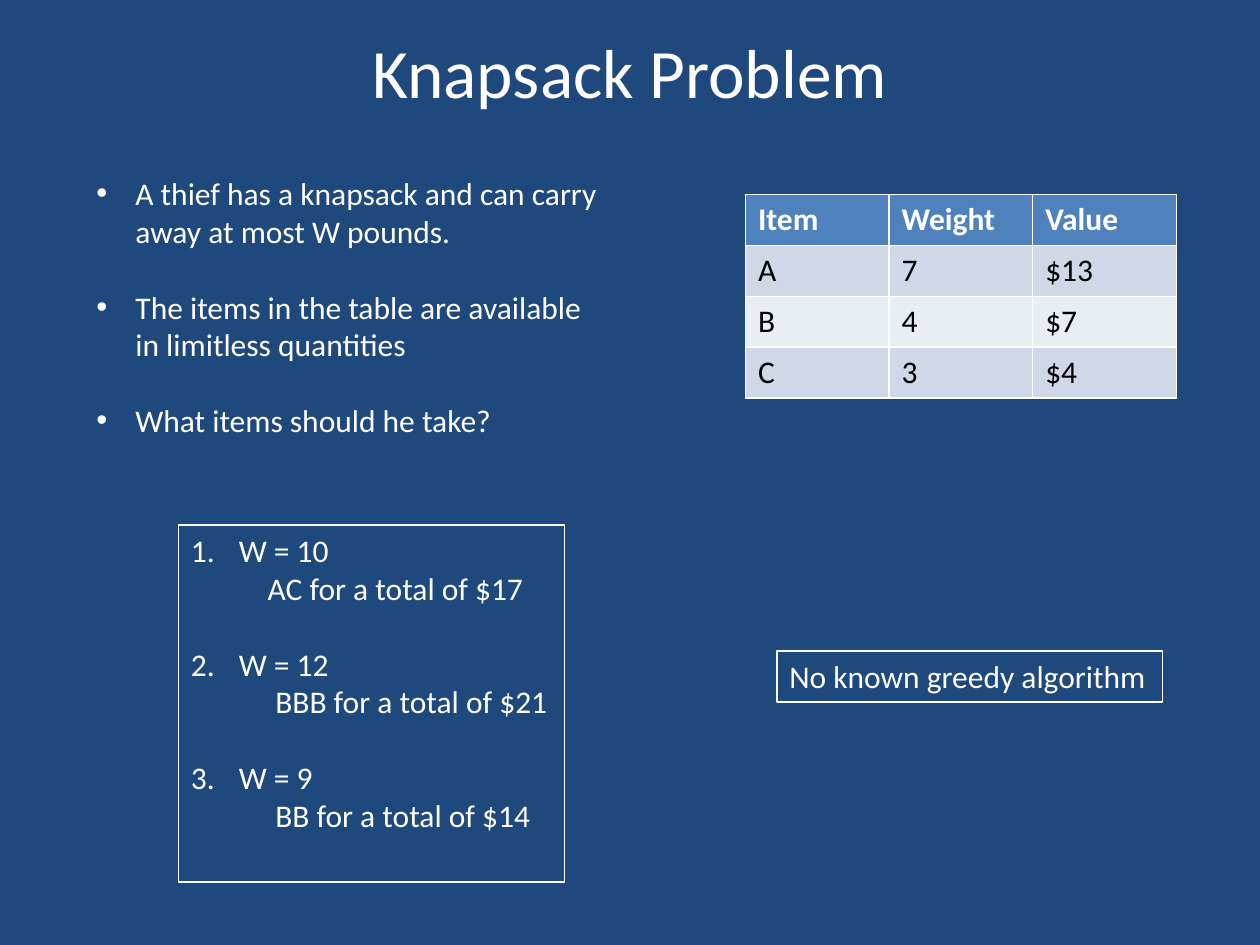
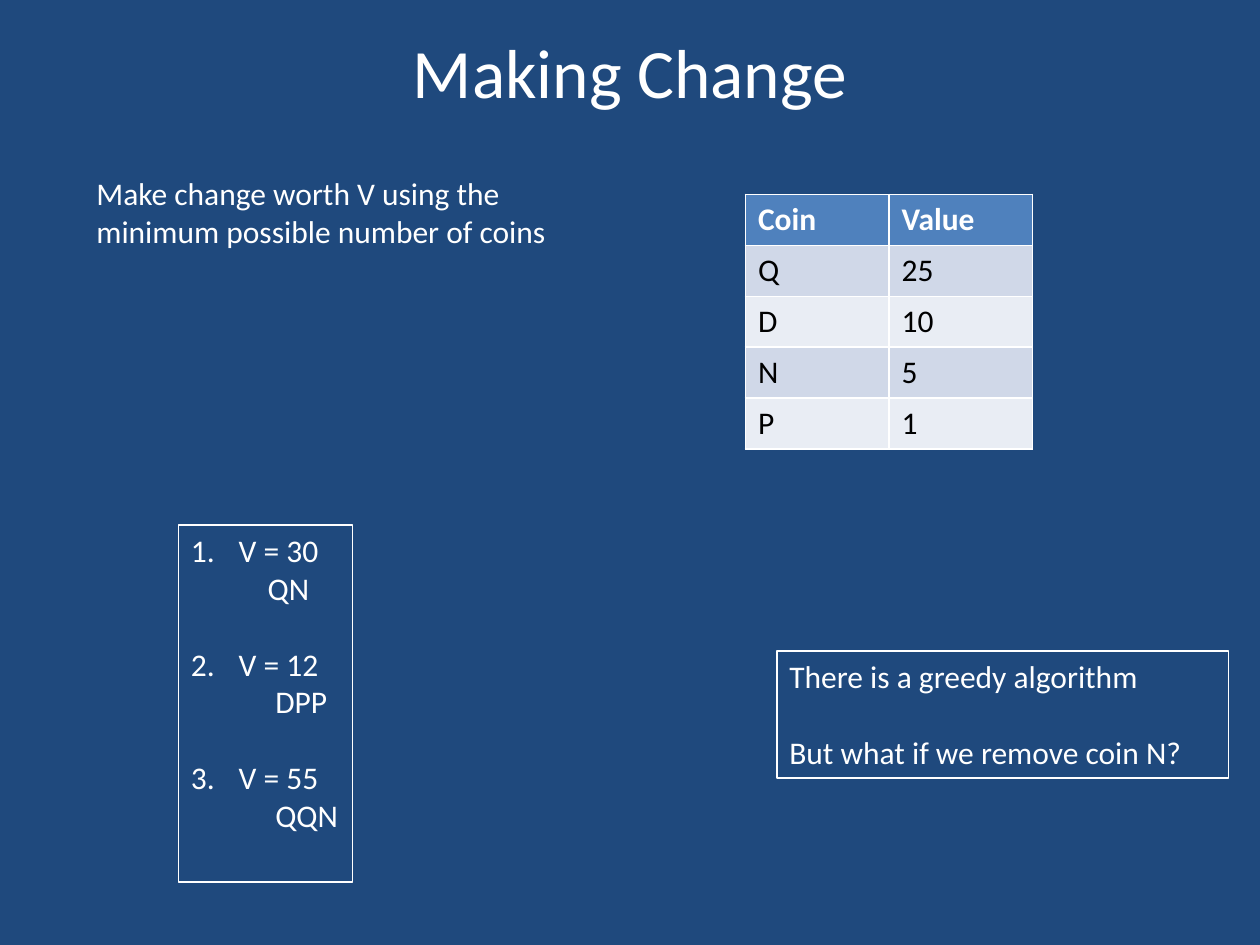
from lxml.etree import SubElement
from pptx import Presentation
from pptx.dml.color import RGBColor
from pptx.enum.shapes import MSO_SHAPE
from pptx.enum.text import MSO_ANCHOR, PP_ALIGN
from pptx.oxml.ns import qn
from pptx.util import Inches, Pt

NAVY = RGBColor(0x1F, 0x49, 0x7D)
WHITE = RGBColor(0xFF, 0xFF, 0xFF)
BLACK = RGBColor(0x00, 0x00, 0x00)
HEADER_BLUE = RGBColor(0x4F, 0x81, 0xBD)
BANDS = (RGBColor(0xD0, 0xD8, 0xE8), RGBColor(0xE9, 0xED, 0xF4))

FONT = "Calibri"
TITLE_SIZE, TEXT_SIZE = 39.6, 18
BLANK_LINE = Pt(21.6)
COLUMNS, ROWS = 120, 90  # grid cells across and down the slide


class Deck:
    """Holds the shared style and the slide being built."""

    def __init__(self):
        self.prs = Presentation()
        self.prs.slide_width, self.prs.slide_height = Inches(10), Inches(7.5)
        self.slide = None

    def x(self, columns):
        return round(self.prs.slide_width * columns / COLUMNS)

    def y(self, rows):
        return round(self.prs.slide_height * rows / ROWS)

    def area(self, column, row, width, height):
        return self.x(column), self.y(row), self.x(width), self.y(height)

    def styled_run(self, paragraph, text, size=TEXT_SIZE, color=WHITE, bold=False):
        run = paragraph.add_run()
        run.text = text
        run.font.name, run.font.size = FONT, Pt(size)
        run.font.color.rgb, run.font.bold = color, bold

    def paragraph(self, frame, text, gap=False):
        """Add a left-aligned paragraph, with a blank line's gap if asked."""
        first = frame.paragraphs[0]
        paragraph = frame.add_paragraph() if first.runs else first
        paragraph.alignment = PP_ALIGN.LEFT
        if gap:
            paragraph.space_before = BLANK_LINE
        self.styled_run(paragraph, text)
        return paragraph

    def indent(self, paragraph, left, hanging=0, marker=None, **attributes):
        properties = paragraph._p.get_or_add_pPr()
        properties.set("marL", str(Inches(left)))
        properties.set("indent", str(-Inches(hanging)))
        if marker:
            font = SubElement(properties, qn("a:buFont"))
            font.set("typeface", "Arial" if marker == "a:buChar" else "+mj-lt")
            bullet = SubElement(properties, qn(marker))
            for name, value in attributes.items():
                bullet.set(name, value)

    def text_area(self, *place):
        frame = self.slide.shapes.add_textbox(*self.area(*place)).text_frame
        frame.word_wrap = True
        return frame

    def outlined_box(self, *place):
        box = self.slide.shapes.add_shape(MSO_SHAPE.RECTANGLE, *self.area(*place))
        box.shadow.inherit = False
        box.fill.background()
        box.line.color.rgb, box.line.width = WHITE, Pt(0.75)
        frame = box.text_frame
        frame.word_wrap = True
        frame.vertical_anchor = MSO_ANCHOR.TOP
        frame.margin_right = 0
        return frame

    def new_slide(self, title):
        self.slide = self.prs.slides.add_slide(self.prs.slide_layouts[6])
        background = self.slide.background.fill
        background.solid()
        background.fore_color.rgb = NAVY
        frame = self.text_area(6, 2, 108, 9.4)
        frame.vertical_anchor = MSO_ANCHOR.MIDDLE
        heading = frame.paragraphs[0]
        heading.alignment = PP_ALIGN.CENTER
        self.styled_run(heading, title, TITLE_SIZE)

    def statement(self, points, height, bulleted=False):
        frame = self.text_area(8, 16, 51, height)
        for number, point in enumerate(points):
            paragraph = self.paragraph(frame, point, gap=number > 0)
            if bulleted:
                self.indent(paragraph, 0.31, 0.31, "a:buChar", char="•")

    def price_table(self, records):
        count, fields = len(records), len(records[0])
        place = self.area(71, 18.5, 13.68 * fields, 4.86 * count)
        table = self.slide.shapes.add_table(count, fields, *place).table
        for r, record in enumerate(records):
            for c, value in enumerate(record):
                cell = table.cell(r, c)
                header = r == 0
                cell.fill.solid()
                cell.fill.fore_color.rgb = HEADER_BLUE if header else BANDS[(r - 1) % 2]
                self.styled_run(cell.text_frame.paragraphs[0], value,
                                color=WHITE if header else BLACK, bold=header)

    def cases(self, pairs, width):
        """Numbered questions, each with its answer indented below."""
        frame = self.outlined_box(17, 50, width, 34)
        for number, (question, answer) in enumerate(pairs):
            asked = self.paragraph(frame, question, gap=number > 0)
            self.indent(asked, 0.38, 0.38, "a:buAutoNum", type="arabicPeriod")
            solved = self.paragraph(frame, answer)
            solved.level = 1
            self.indent(solved, 0.67 if number else 0.61)

    def remark(self, lines, width, height):
        frame = self.outlined_box(74, 62, width, height)
        for number, line in enumerate(lines):
            self.paragraph(frame, line, gap=number > 0)


def main():
    deck = Deck()

    # Knapsack: limitless items, limited weight
    deck.new_slide("Knapsack Problem")
    deck.price_table([("Item", "Weight", "Value"),
                      ("A", "7", "$13"), ("B", "4", "$7"), ("C", "3", "$4")])
    deck.statement(["A thief has a knapsack and can carry away at most W pounds.",
                    "The items in the table are available in limitless quantities",
                    "What items should he take?"], 26.7, bulleted=True)
    deck.cases([("W = 10", "AC for a total of $17"),
                ("W = 12", "BBB for a total of $21"),
                ("W = 9", "BB for a total of $14")], 36.75)
    deck.remark(["No known greedy algorithm"], 36.75, 4.85)

    # Making change: fewest coins
    deck.new_slide("Making Change")
    deck.price_table([("Coin", "Value"),
                      ("Q", "25"), ("D", "10"), ("N", "5"), ("P", "1")])
    deck.statement(["Make change worth V using the minimum possible number of coins"], 8.5)
    deck.cases([("V = 30", "QN"), ("V = 12", "DPP"), ("V = 55", "QQN")], 16.6)
    deck.remark(["There is a greedy algorithm",
                 "But what if we remove coin N?"], 43, 12.1)

    deck.prs.save("out.pptx")


if __name__ == "__main__":
    main()
